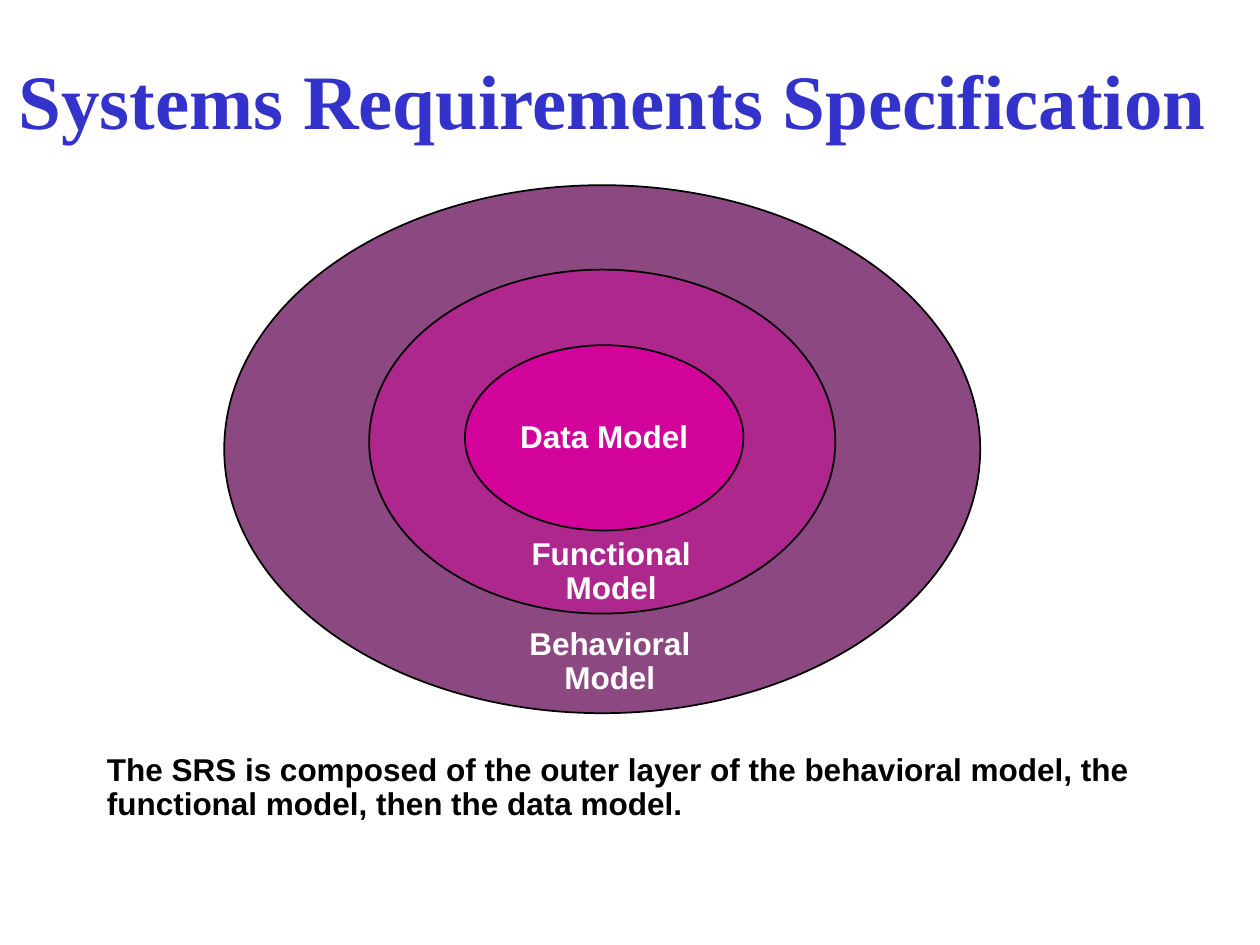
"""Build a slide of the nested models in a systems requirements specification."""
from dataclasses import dataclass

from pptx import Presentation, util as u
from pptx.dml.color import RGBColor
from pptx.enum import shapes, text


@dataclass(frozen=True)
class Theme:
    """Colours, fonts and type sizes of the slide."""
    title: str = "3333CC"
    light: str = "FFFFFF"
    dark: str = "000000"
    behavioral: str = "8C4881"
    functional: str = "AD278D"
    data: str = "D1039B"
    title_font: str = "Times New Roman"
    body_font: str = "Arial"
    title_size: int = 44
    body_size: int = 18
    outline: float = 1


THEME = Theme()


def inches(*lengths):
    """Turn numbers into lengths in inches."""
    return [u.Inches(length) for length in lengths]


def write(frame, lines, color, align, font=THEME.body_font, size=THEME.body_size,
          spacing=0.9, insets=(0.1, 0.05), anchor=text.MSO_ANCHOR.TOP, wrap=False):
    """Fill a text frame with one bold paragraph per line."""
    frame.word_wrap = wrap
    frame.vertical_anchor = anchor
    frame.margin_left = frame.margin_right = u.Inches(insets[0])
    frame.margin_top = frame.margin_bottom = u.Inches(insets[1])
    for index, line in enumerate(lines):
        para = frame.add_paragraph() if index else frame.paragraphs[0]
        para.alignment = align
        para.line_spacing = spacing
        span = para.add_run()
        span.text = line
        span.font.name = font
        span.font.size = u.Pt(size)
        span.font.bold = True
        span.font.color.rgb = RGBColor.from_string(color)


def add_title(page, words):
    """Place and format the title placeholder."""
    title = page.shapes.title
    title.left, title.top, title.width, title.height = inches(0.07, 0.39, 9.59, 0.79)
    write(title.text_frame, [words], THEME.title, text.PP_ALIGN.CENTER,
          THEME.title_font, THEME.title_size, 1.0, (0.07, 0.03))
    title.text_frame.auto_size = text.MSO_AUTO_SIZE.NONE


def add_layer(page, place, color):
    """Draw one outlined ellipse."""
    layer = page.shapes.add_shape(shapes.MSO_SHAPE.OVAL, *inches(*place))
    layer.shadow.inherit = False
    layer.fill.solid()
    layer.fill.fore_color.rgb = RGBColor.from_string(color)
    layer.line.color.rgb = RGBColor.from_string(THEME.dark)
    layer.line.width = u.Pt(THEME.outline)
    return layer


def add_text(page, place, lines, color, align, wrap=False):
    """Add a text box that grows with its text."""
    box = page.shapes.add_textbox(*inches(*place))
    write(box.text_frame, lines, color, align, wrap=wrap)
    box.text_frame.auto_size = text.MSO_AUTO_SIZE.SHAPE_TO_FIT_TEXT


def main():
    """Build and save the deck."""
    deck = Presentation()
    deck.slide_width, deck.slide_height = inches(10, 7.5)
    page = deck.slides.add_slide(deck.slide_layouts[5])
    center = text.PP_ALIGN.CENTER

    add_title(page, "Systems Requirements Specification")
    add_layer(page, (1.78, 1.47, 6, 4.19), THEME.behavioral)
    add_layer(page, (2.93, 2.14, 3.7, 2.73), THEME.functional)
    core = add_layer(page, (3.69, 2.74, 2.21, 1.47), THEME.data)
    write(core.text_frame, ["Data Model"], THEME.light, center,
          anchor=text.MSO_ANCHOR.MIDDLE)

    add_text(page, (4.08, 4.94, 1.52, 0.64), ["Behavioral", "Model"], THEME.light, center)
    add_text(page, (4.09, 4.22, 1.52, 0.64), ["Functional", "Model"], THEME.light, center)
    add_text(page, (0.75, 5.94, 8.49, 0.64),
             ["The SRS is composed of the outer layer of the behavioral model, "
              "the functional model, then the data model."],
             THEME.dark, text.PP_ALIGN.LEFT, wrap=True)

    deck.save("out.pptx")


main()
